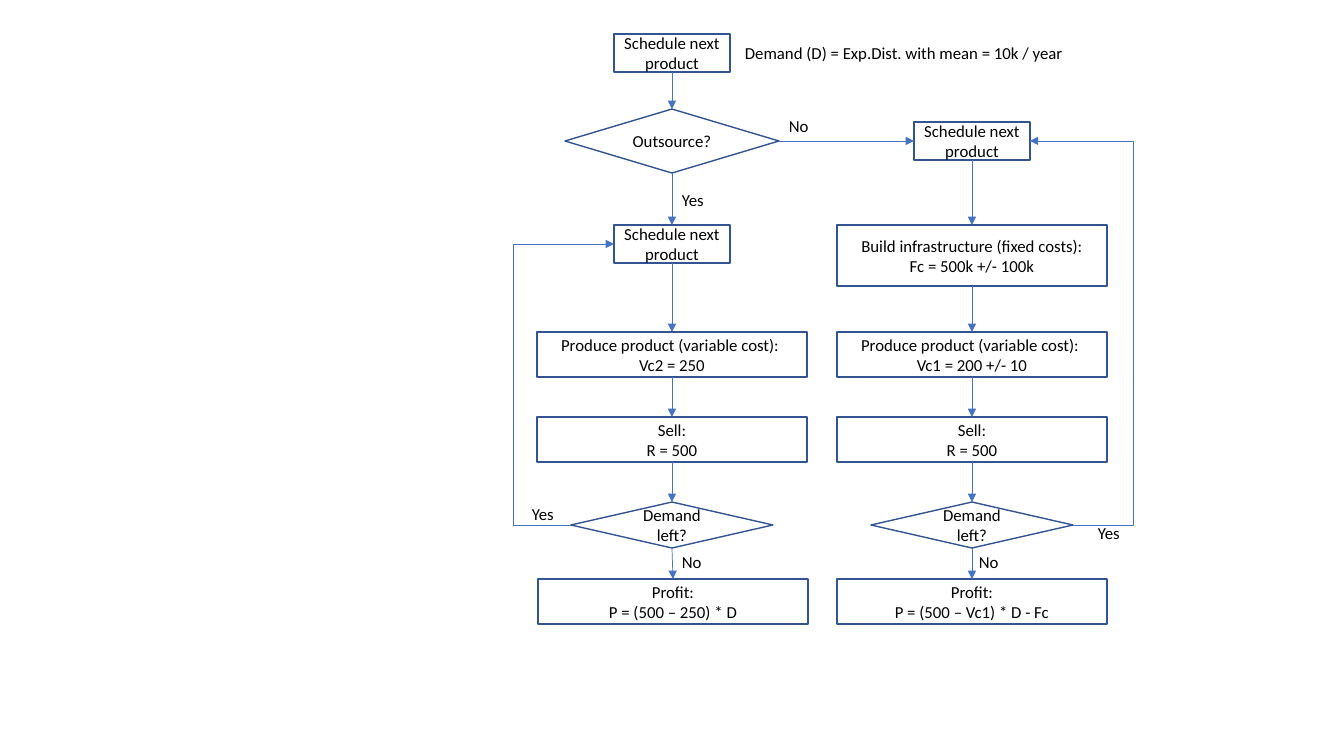
"""Build the outsource-or-produce flowchart slide."""
from lxml import etree
from pptx import Presentation
from pptx.dml.color import RGBColor
from pptx.enum.shapes import MSO_CONNECTOR, MSO_SHAPE
from pptx.enum.text import MSO_ANCHOR, MSO_AUTO_SIZE, PP_ALIGN
from pptx.oxml.ns import qn
from pptx.util import Emu, Pt

STRAIGHT, ELBOW = MSO_CONNECTOR.STRAIGHT, MSO_CONNECTOR.ELBOW
PROCESS, DECISION = MSO_SHAPE.FLOWCHART_PROCESS, MSO_SHAPE.FLOWCHART_DECISION
MIDDLE, CENTER, LEFT_ALIGN = MSO_ANCHOR.MIDDLE, PP_ALIGN.CENTER, PP_ALIGN.LEFT
GROW = MSO_AUTO_SIZE.SHAPE_TO_FIT_TEXT
TOP, LEFT, BOTTOM, RIGHT = range(4)

SLIDE_SIZE = (1344, 756)
EMU_PER_PX = 914400 / 100.8
FONT, FONT_SIZE = "Calibri", 12
BLACK, OUTLINE, ARROW = "000000", "325491", "4472C4"

OUTSOURCED, IN_HOUSE = 672, 972
SMALL, TALL, WIDE = (PROCESS, 116, 38), (PROCESS, 270, 61), (PROCESS, 270, 45)
QUESTION, CHECK = (DECISION, 214, 64), (DECISION, 202, 46)

STEPS = {
    "start": (SMALL, OUTSOURCED, 34, "Schedule next product"),
    "outsource": (QUESTION, OUTSOURCED, 109, "Outsource?"),
    "schedule out": (SMALL, OUTSOURCED, 225, "Schedule next product"),
    "produce out": (WIDE, OUTSOURCED, 332, "Produce product (variable cost): \vVc2 = 250"),
    "sell out": (WIDE, OUTSOURCED, 417, "Sell:\nR = 500"),
    "demand out": (CHECK, OUTSOURCED, 502, "Demand left?"),
    "profit out": (WIDE, OUTSOURCED + 1, 579, "Profit:\nP = (500 – 250) * D"),
    "schedule in": (SMALL, IN_HOUSE, 122, "Schedule next product"),
    "build": (TALL, IN_HOUSE, 225, "Build infrastructure (fixed costs):\nFc = 500k +/- 100k"),
    "produce in": (WIDE, IN_HOUSE, 332, "Produce product (variable cost): \vVc1 = 200 +/- 10"),
    "sell in": (WIDE, IN_HOUSE, 417, "Sell:\nR = 500"),
    "demand in": (CHECK, IN_HOUSE, 502, "Demand left?"),
    "profit in": (WIDE, IN_HOUSE, 579, "Profit:\nP = (500 – Vc1) * D - Fc"),
}
FLOWS = [
    ["start", "outsource", "schedule out", "produce out", "sell out", "demand out", "profit out"],
    ["schedule in", "build", "produce in", "sell in", "demand in", "profit in"],
]
LOOPS = [
    ("demand out", "schedule out", LEFT, 513),
    ("demand in", "schedule in", RIGHT, 1133),
]
LABELS = [
    ("Demand (D) = Exp.Dist. with mean = 10k / year", 735, 38, 342),
    ("No", 779, 111, 40),
    ("Yes", 672, 185, 42),
    ("Yes", 522, 499, 42),
    ("No", 672, 547, 40),
    ("No", 969, 547, 40),
    ("Yes", 1088, 518, 42),
]
LABEL_HEIGHT = 30


def px(length):
    return Emu(round(length * EMU_PER_PX))


def color(hex_code):
    return RGBColor.from_string(hex_code)


def write(frame, text, align):
    frame.text = text
    for paragraph in frame.paragraphs:
        paragraph.alignment = align
        paragraph.font.name = FONT
        paragraph.font.size = Pt(FONT_SIZE)
        paragraph.font.color.rgb = color(BLACK)


def add_step(slide, kind, center, top, text):
    preset, width, height = kind
    step = slide.shapes.add_shape(
        preset, px(center - width / 2), px(top), px(width), px(height))
    step.shadow.inherit = False
    step.fill.background()
    step.line.color.rgb = color(OUTLINE)
    step.line.width = Pt(1)
    step.text_frame.vertical_anchor = MIDDLE
    write(step.text_frame, text, CENTER)
    return step


def add_arrow(slide, source, source_side, target, target_side, kind=STRAIGHT):
    arrow = slide.shapes.add_connector(kind, 0, 0, 0, 0)
    arrow.begin_connect(source, source_side)
    arrow.end_connect(target, target_side)
    arrow.line.color.rgb = color(ARROW)
    arrow.line.width = Pt(0.5)
    properties = arrow.line._get_or_add_ln()
    etree.SubElement(properties, qn("a:tailEnd"), type="triangle")
    etree.SubElement(arrow._element.spPr, qn("a:effectLst"))
    return arrow


def add_loop(slide, source, target, side, lane):
    loop = add_arrow(slide, source, side, target, side, ELBOW)
    bend = (px(lane) - loop.begin_x) / (loop.end_x - loop.begin_x)
    guides = loop._element.spPr.find(qn("a:prstGeom")).find(qn("a:avLst"))
    etree.SubElement(guides, qn("a:gd"), name="adj1", fmla=f"val {round(bend * 100000)}")


def add_label(slide, text, left, top, width):
    label = slide.shapes.add_textbox(px(left), px(top), px(width), px(LABEL_HEIGHT))
    label.text_frame.word_wrap = False
    label.text_frame.auto_size = GROW
    write(label.text_frame, text, LEFT_ALIGN)


def main():
    deck = Presentation()
    deck.slide_width, deck.slide_height = map(px, SLIDE_SIZE)
    slide = deck.slides.add_slide(deck.slide_layouts[6])
    steps = {name: add_step(slide, *step) for name, step in STEPS.items()}
    for flow in FLOWS:
        for source, target in zip(flow, flow[1:]):
            add_arrow(slide, steps[source], BOTTOM, steps[target], TOP)
    add_arrow(slide, steps["outsource"], RIGHT, steps["schedule in"], LEFT)
    for source, target, side, lane in LOOPS:
        add_loop(slide, steps[source], steps[target], side, lane)
    for label in LABELS:
        add_label(slide, *label)
    deck.save("out.pptx")


if __name__ == "__main__":
    main()
